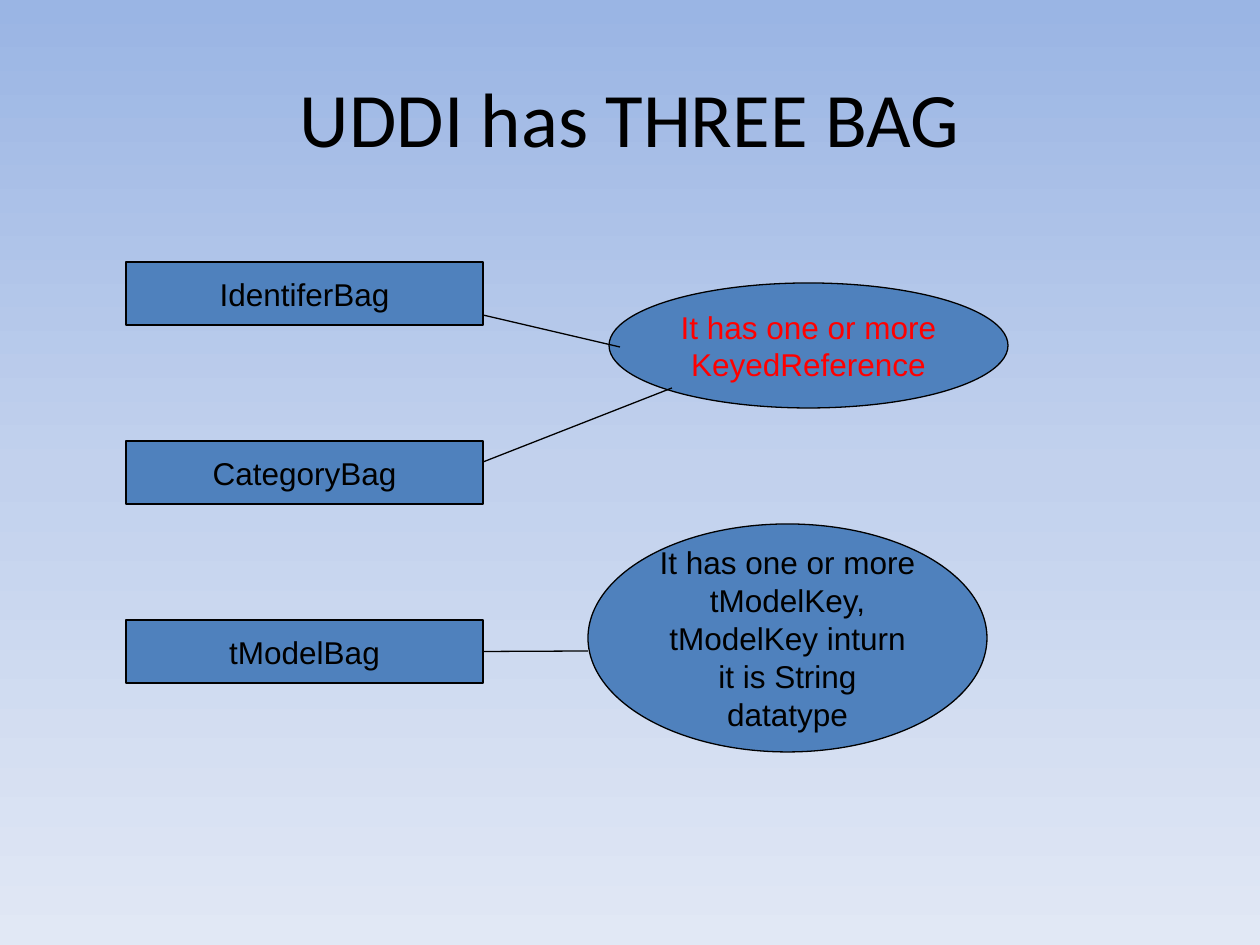
from copy import deepcopy

from pptx import Presentation
from pptx.dml.color import RGBColor
from pptx.enum.shapes import MSO_CONNECTOR, MSO_SHAPE
from pptx.enum.text import MSO_ANCHOR, MSO_AUTO_SIZE, PP_ALIGN
from pptx.oxml.ns import qn
from pptx.util import Emu, Inches, Pt
from lxml.etree import SubElement

PX = Inches(1) / 126
BLACK = RGBColor(0x00, 0x00, 0x00)
RED = RGBColor(0xFF, 0x00, 0x00)
BLUE = RGBColor(0x4F, 0x81, 0xBD)
SKY = [
    (0, RGBColor(0x9A, 0xB5, 0xE4)),
    (0.5, RGBColor(0xC2, 0xD1, 0xED)),
    (1, RGBColor(0xE1, 0xE8, 0xF5)),
]
BAGS = ["IdentiferBag", "CategoryBag", "tModelBag"]
BAG_TOP, BAG_STEP = 262, 179


def px(*lengths):
    return [Emu(round(n * PX)) for n in lengths]


def set_background(s):
    fill = s.background.fill
    fill.gradient()
    fill.gradient_angle = 270
    stops = s.background._cSld.find(".//" + qn("a:gsLst"))
    stops.append(deepcopy(stops[-1]))
    for stop, (position, color) in zip(fill.gradient_stops, SKY):
        stop.position = position
        stop.color.rgb = color


def write(shape, text, size, font, color):
    tf = shape.text_frame
    tf.text = text
    tf.vertical_anchor = MSO_ANCHOR.MIDDLE
    p = tf.paragraphs[0]
    p.alignment = PP_ALIGN.CENTER
    r = p.runs[0]
    for name, value in {"size": Pt(size), "name": font}.items():
        setattr(r.font, name, value)
    r.font.color.rgb = color


def add_title(s, text):
    title = s.shapes.title
    title.left, title.top, title.width, title.height = px(63, 38, 1134, 157)
    write(title, text, 44, "Calibri", BLACK)


def style_line(shape):
    shape.line.color.rgb = BLACK
    shape.line.width = Pt(0.75)


def add_node(s, kind, box, text, color=BLACK, **frame):
    """Add a filled, outlined shape; frame holds text frame settings."""
    node = s.shapes.add_shape(kind, *px(*box))
    node.shadow.inherit = False
    node.fill.solid()
    node.fill.fore_color.rgb = BLUE
    style_line(node)
    write(node, text, 18, "Arial", color)
    for name, value in frame.items():
        setattr(node.text_frame, name, value)
    return node


def add_ellipse(s, box, text, color=BLACK):
    add_node(s, MSO_SHAPE.OVAL, box, text, color,
             word_wrap=True, auto_size=MSO_AUTO_SIZE.SHAPE_TO_FIT_TEXT)


def add_line(s, *ends):
    line = s.shapes.add_connector(MSO_CONNECTOR.STRAIGHT, *px(*ends))
    style_line(line)
    SubElement(line._element.spPr, qn("a:effectLst"))
    return line


def main():
    prs = Presentation()
    prs.slide_width, prs.slide_height = Inches(10), Inches(7.5)
    s = prs.slides.add_slide(prs.slide_layouts[5])
    set_background(s)
    add_title(s, "UDDI has THREE BAG")

    bags = [
        add_node(s, MSO_SHAPE.RECTANGLE, (126, BAG_TOP + i * BAG_STEP, 357, 63),
                 name, word_wrap=False)
        for i, name in enumerate(BAGS)
    ]
    add_ellipse(s, (609, 283, 399, 125), "It has one or more KeyedReference", RED)
    add_line(s, 483, 315, 620, 347)
    add_line(s, 672, 388, 483, 462)

    add_ellipse(s, (588, 524, 399, 228),
                "It has one or more tModelKey, tModelKey inturn it is String datatype")
    add_line(s, 483, 651, 588, 651).begin_connect(bags[2], 3)

    prs.save("out.pptx")


if __name__ == "__main__":
    main()
